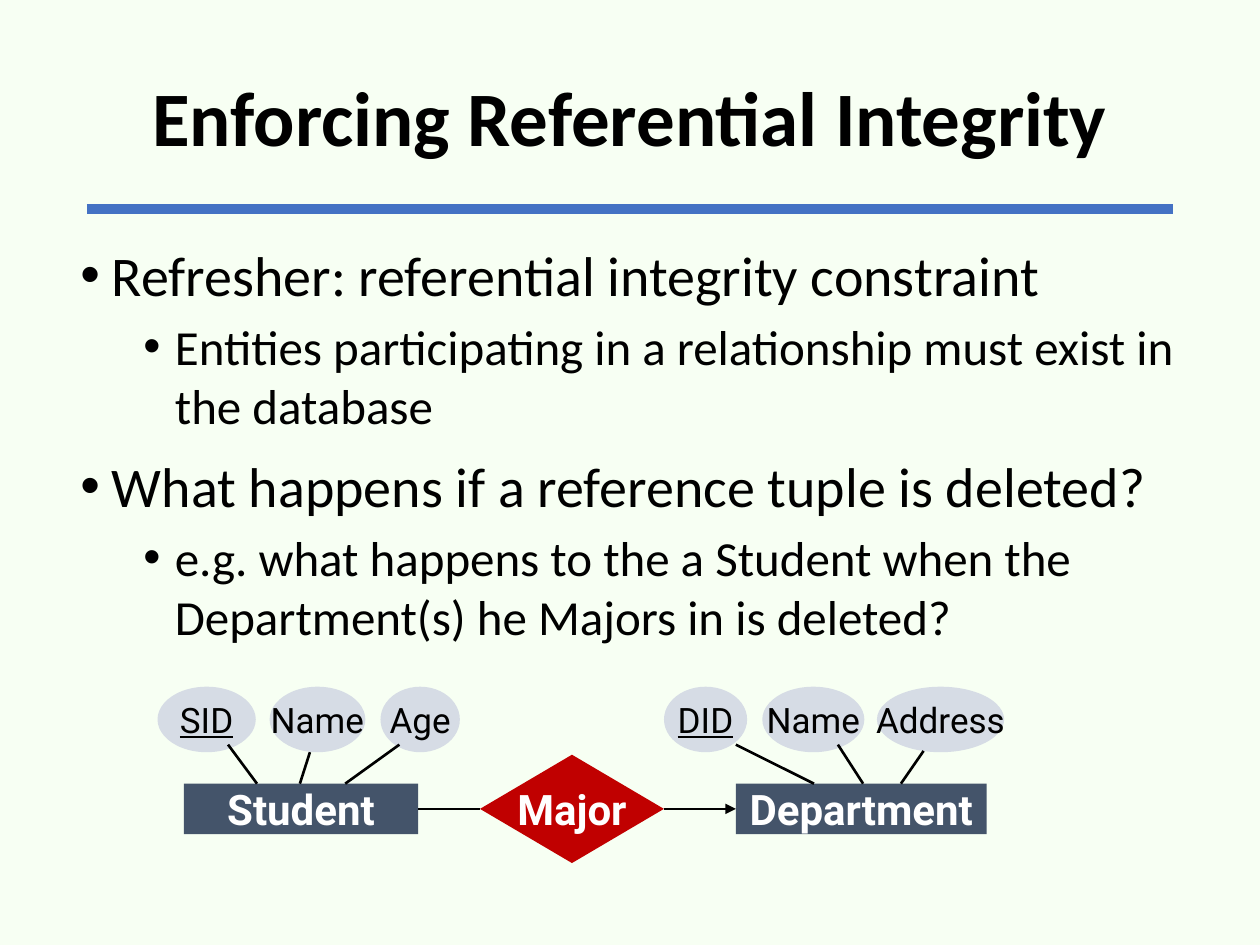
import lxml.etree
import pptx
import pptx.dml.color
import pptx.enum.shapes
import pptx.enum.text
import pptx.oxml.ns
import pptx.util

COLORS = {
    "background": "F7FFF3",
    "rule": "4472C4",
    "ink": "000000",
    "entity": "44546A",
    "attribute": "D6DCE5",
    "relationship": "C00000",
    "label": "FFFFFF",
}
COLUMNS, ROWS = 100, 75
SLIDE_WIDTH, SLIDE_HEIGHT = pptx.util.Inches(10), pptx.util.Inches(7.5)

ENTITY_TOP, ENTITY_HEIGHT = 62.2, 4
ATTRIBUTE_TOP, ATTRIBUTE_HEIGHT = 54.5, 5.2
AXIS = ENTITY_TOP + ENTITY_HEIGHT / 2

BULLETS = [
    (0, "Refresher: referential integrity constraint"),
    (1, "Entities participating in a relationship must exist in the database"),
    (0, "What happens if a reference tuple is deleted?"),
    (1, "e.g. what happens to the a Student when the Department(s) he Majors in is deleted?"),
]
LEVELS = [
    {"size": 32, "margin": 0.25, "before": 10},
    {"size": 28, "margin": 0.75, "before": 5},
]

ENTITIES = {
    "Student": {
        "left": 14.6, "width": 18.6,
        "attributes": [("SID", 12.5, 7.8), ("Name", 21.4, 7.6), ("Age", 30.2, 6.3)],
        "links": [(20.4, 18.1, 59.1), (23.8, 24.6, 59.7), (27.4, 31.7, 59.1)],
    },
    "Department": {
        "left": 58.4, "width": 19.9,
        "attributes": [("DID", 52.7, 6.6), ("Name", 60.5, 8.1), ("Address", 69.6, 10.1)],
        "links": [(64.6, 58.4, 59.1), (68.5, 66.5, 59.1), (71.5, 73.3, 59.6)],
    },
}


def across(columns):
    return round(SLIDE_WIDTH * columns / COLUMNS)


def down(rows):
    return round(SLIDE_HEIGHT * rows / ROWS)


def area(left, top, width, height):
    return across(left), down(top), across(width), down(height)


def color(name):
    return pptx.dml.color.RGBColor.from_string(COLORS[name])


def write(para, text, size, font="Calibri", ink="ink", bold=False, underline=False):
    span = para.add_run()
    span.text = text
    span.font.size = pptx.util.Pt(size)
    span.font.name = font
    span.font.color.rgb = color(ink)
    span.font.bold = bold
    span.font.underline = underline


def add_xml(parent, tag, **attributes):
    return lxml.etree.SubElement(parent, pptx.oxml.ns.qn(tag), **attributes)


def add_line(page, start, end, weight=1.5, ink="ink", arrow_at_start=False):
    line = page.shapes.add_connector(
        pptx.enum.shapes.MSO_CONNECTOR.STRAIGHT,
        across(start[0]), down(start[1]), across(end[0]), down(end[1]))
    line.line.color.rgb = color(ink)
    line.line.width = pptx.util.Pt(weight)
    properties = line.element.spPr
    if arrow_at_start:
        add_xml(properties.find(pptx.oxml.ns.qn("a:ln")), "a:headEnd", type="triangle")
    add_xml(properties, "a:effectLst")
    return line


def add_node(page, kind, place, fill, text, **text_format):
    node = page.shapes.add_shape(kind, *area(*place))
    node.shadow.inherit = False
    node.fill.solid()
    node.fill.fore_color.rgb = color(fill)
    node.line.fill.background()
    frame = node.text_frame
    frame.word_wrap = False
    frame.vertical_anchor = pptx.enum.text.MSO_ANCHOR.MIDDLE
    para = frame.paragraphs[0]
    para.alignment = pptx.enum.text.PP_ALIGN.CENTER
    write(para, text, font="Roboto", **text_format)
    return node


def add_title(page, text):
    title = page.shapes.title
    title.left, title.top, title.width, title.height = area(6.9, 2.4, 86.2, 14.5)
    frame = title.text_frame
    frame.auto_size = pptx.enum.text.MSO_AUTO_SIZE.NONE
    frame.vertical_anchor = pptx.enum.text.MSO_ANCHOR.MIDDLE
    para = frame.paragraphs[0]
    para.alignment = pptx.enum.text.PP_ALIGN.CENTER
    para.line_spacing = 0.9
    write(para, text, size=44, bold=True)


def add_bullets(page):
    frame = page.shapes.add_textbox(*area(5.4, 18.6, 90.4, 33.4)).text_frame
    frame.word_wrap = True
    for index, (depth, text) in enumerate(BULLETS):
        para = frame.add_paragraph() if index else frame.paragraphs[0]
        level = LEVELS[depth]
        para.level = depth
        properties = para._p.get_or_add_pPr()
        properties.set("marL", str(pptx.util.Inches(level["margin"])))
        properties.set("indent", str(pptx.util.Inches(-0.25)))
        add_xml(properties, "a:buFont", typeface="Arial")
        add_xml(properties, "a:buChar", char="•")
        if index:
            para.space_before = pptx.util.Pt(level["before"])
        write(para, text, size=level["size"])


def add_entity(page, name, left, width, attributes, links):
    shapes = pptx.enum.shapes.MSO_SHAPE
    entity = add_node(page, shapes.RECTANGLE, (left, ENTITY_TOP, width, ENTITY_HEIGHT),
                      "entity", name, size=24, ink="label", bold=True)
    for index, (label, oval_left, oval_width) in enumerate(attributes):
        add_node(page, shapes.OVAL, (oval_left, ATTRIBUTE_TOP, oval_width, ATTRIBUTE_HEIGHT),
                 "attribute", label, size=20, underline=index == 0)
    for entity_x, oval_x, oval_y in links:
        add_line(page, (entity_x, ENTITY_TOP), (oval_x, oval_y))
    return entity


def add_diagram(page):
    student, department = [add_entity(page, name, **parts) for name, parts in ENTITIES.items()]
    major = add_node(page, pptx.enum.shapes.MSO_SHAPE.DIAMOND, (38.1, AXIS - 4.3, 14.6, 8.6),
                     "relationship", "Major", size=24, ink="label", bold=True)
    reference = add_line(page, (58.4, AXIS), (52.7, AXIS), arrow_at_start=True)
    reference.begin_connect(department, 1)
    reference.end_connect(major, 3)
    membership = add_line(page, (33.2, AXIS), (38.1, AXIS))
    membership.begin_connect(student, 3)
    membership.end_connect(major, 1)


def main():
    deck = pptx.Presentation()
    deck.slide_width, deck.slide_height = SLIDE_WIDTH, SLIDE_HEIGHT
    page = deck.slides.add_slide(deck.slide_layouts.get_by_name("Title Only"))
    page.background.fill.solid()
    page.background.fill.fore_color.rgb = color("background")
    add_line(page, (6.9, 16.6), (93.1, 16.6), weight=6, ink="rule")
    add_title(page, "Enforcing Referential Integrity")
    add_bullets(page)
    add_diagram(page)
    deck.save("out.pptx")


if __name__ == "__main__":
    main()
